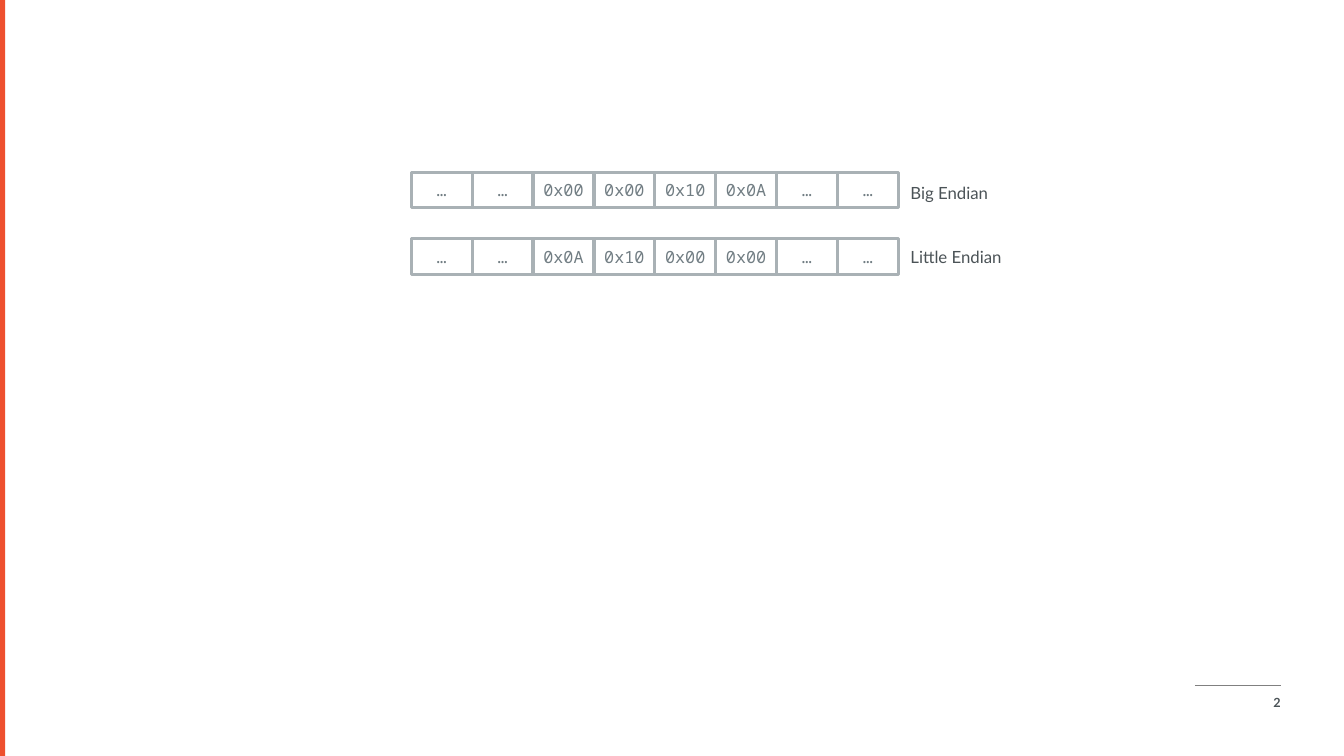
from dataclasses import dataclass

from lxml import etree
from pptx import Presentation
from pptx import util as u
from pptx.dml.color import RGBColor
from pptx.enum import shapes, text
from pptx.oxml import ns

ACCENT, INK, CODE_INK, BORDER = "EE502E", "4B5357", "717D83", "A9B1B5"
RULE = "808080"
ROW_LEFT, ROW_RIGHT, CELL_HEIGHT = 4.08, 8.91, 0.35


@dataclass
class ByteRow:
    label: str
    top: float
    label_top: float
    values: list[str]


BYTE_ROWS = [
    ByteRow("Big Endian", 1.71, 1.76,
            ["…", "…", "0x00", "0x00", "0x10", "0x0A", "…", "…"]),
    ByteRow("Little Endian", 2.37, 2.4,
            ["…", "…", "0x0A", "0x10", "0x00", "0x00", "…", "…"]),
]


def color(value: str) -> RGBColor:
    return RGBColor.from_string(value)


def write(shape, words: str, font: str, size: float, ink: str,
          align=text.PP_ALIGN.LEFT, anchor=text.MSO_ANCHOR.TOP,
          side: float = 0.1, bold: bool = False) -> None:
    """Put one styled run in a shape, with equal left and right insets."""
    frame = shape.text_frame
    frame.word_wrap = True
    frame.vertical_anchor = anchor
    frame.margin_left = frame.margin_right = u.Inches(side)
    para = frame.paragraphs[0]
    para.alignment = align
    span = para.add_run()
    span.text = words
    span.font.name = font
    span.font.size = u.Pt(size)
    span.font.bold = bold
    span.font.color.rgb = color(ink)


def add_box(page, left: float, top: float, width: float, height: float):
    box = page.shapes.add_shape(
        shapes.MSO_SHAPE.RECTANGLE, u.Inches(left), u.Inches(top),
        u.Inches(width), u.Inches(height))
    box.shadow.inherit = False
    return box


def add_label(page, left: float, top: float, width: float, height: float):
    return page.shapes.add_textbox(
        u.Inches(left), u.Inches(top), u.Inches(width), u.Inches(height))


def add_frame(page) -> None:
    """Draw the side bar, the footer rule and the page number."""
    number = add_label(page, 12.21, 6.77, 0.59, 0.4)
    write(number, "2", "Lato", 9, INK, text.PP_ALIGN.RIGHT,
          text.MSO_ANCHOR.MIDDLE, bold=True)

    rule = page.shapes.add_connector(
        shapes.MSO_CONNECTOR.STRAIGHT, u.Inches(11.85), u.Inches(6.8),
        u.Inches(12.71), u.Inches(6.8))
    rule.line.color.rgb = color(RULE)
    rule.line.width = u.Pt(0.75)
    etree.SubElement(rule._element.spPr, ns.qn("a:effectLst"))

    bar = add_box(page, 0, 0, 0.05, 7.5)
    bar.fill.solid()
    bar.fill.fore_color.rgb = color(ACCENT)
    bar.line.fill.background()


def add_byte_row(page, row: ByteRow) -> None:
    label = add_label(page, ROW_RIGHT, row.label_top, 1.3, 0.3)
    write(label, row.label, "Lato", 12, INK, side=0.12)
    label.text_frame.auto_size = text.MSO_AUTO_SIZE.SHAPE_TO_FIT_TEXT

    width = (ROW_RIGHT - ROW_LEFT) / len(row.values)
    for index, value in enumerate(row.values):
        cell = add_box(page, ROW_LEFT + index * width, row.top,
                       width, CELL_HEIGHT)
        cell.fill.background()
        cell.line.color.rgb = color(BORDER)
        cell.line.width = u.Pt(2.25)
        write(cell, value, "Noto Sans Mono", 12, CODE_INK,
              text.PP_ALIGN.CENTER, text.MSO_ANCHOR.MIDDLE, side=0)


def main() -> None:
    deck = Presentation()
    deck.slide_width, deck.slide_height = u.Inches(13.33), u.Inches(7.5)
    page = deck.slides.add_slide(deck.slide_layouts[6])
    add_frame(page)
    for row in BYTE_ROWS:
        add_byte_row(page, row)
    deck.save("out.pptx")


if __name__ == "__main__":
    main()
